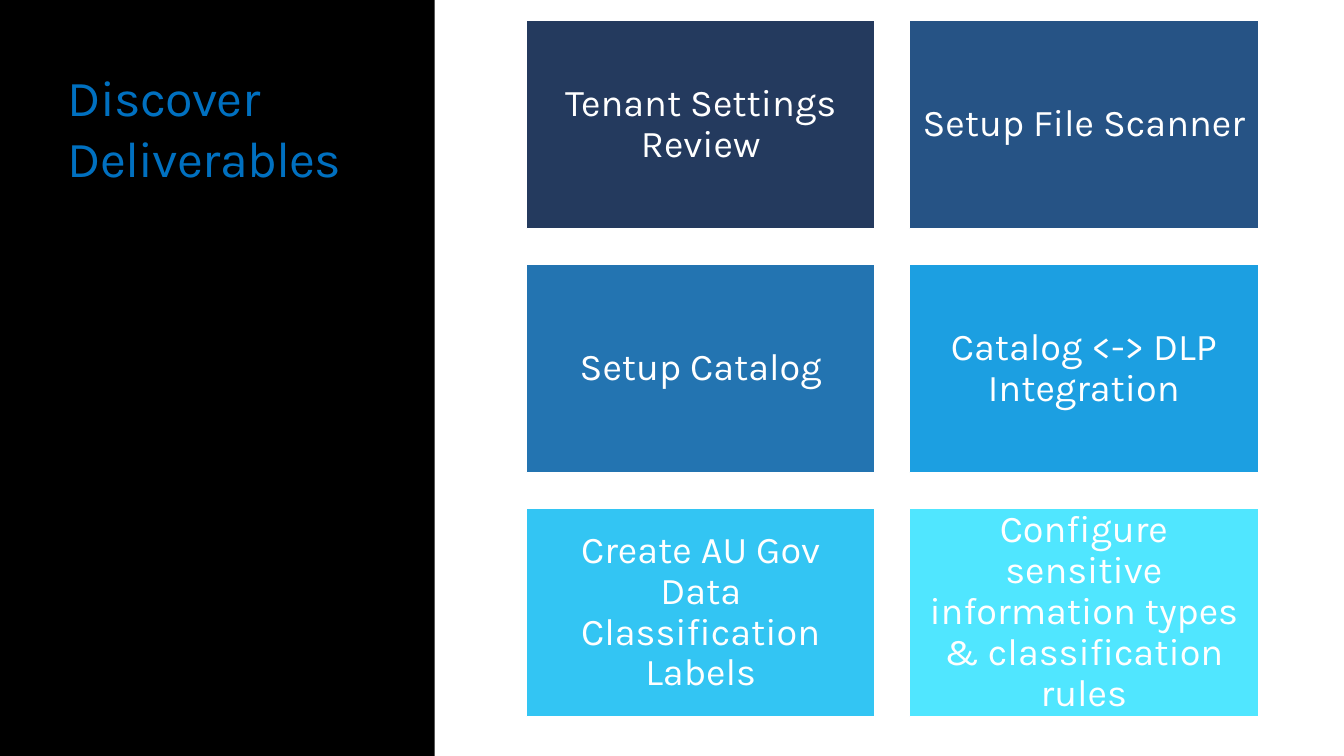
from pptx import Presentation
from pptx.dml.color import RGBColor
from pptx.enum.shapes import MSO_SHAPE
from pptx.enum.text import MSO_ANCHOR, PP_ALIGN
from pptx.util import Inches, Pt

FONT = "Karla"
COLOURS = {"panel": "000000", "title": "0070C0", "white": "FFFFFF"}
DELIVERABLES = [
    ("Tenant Settings Review", "243A5E"),
    ("Setup File Scanner", "265385"),
    ("Setup Catalog", "2374B1"),
    ("Catalog <-> DLP Integration", "1C9FE1"),
    ("Create AU Gov Data Classification Labels", "33C5F3"),
    ("Configure sensitive information types & classification rules", "50E6FF"),
]
COLUMNS = 2
TILE_WIDTH, TILE_HEIGHT = 3.46, 2.07
COLUMN_STEP, ROW_STEP = 3.8, 2.42


def add_block(page, left, top, width, height, colour):
    block = page.shapes.add_shape(
        MSO_SHAPE.RECTANGLE, Inches(left), Inches(top), Inches(width), Inches(height))
    block.shadow.inherit = False
    block.fill.solid()
    block.fill.fore_color.rgb = RGBColor.from_string(colour)
    block.line.fill.background()
    return block


def write_text(shape, text, size, colour, margin):
    """Fill the shape with one wrapped paragraph and return that paragraph."""
    frame = shape.text_frame
    frame.word_wrap = True
    frame.margin_left = frame.margin_right = Inches(margin)
    frame.margin_top = frame.margin_bottom = Inches(margin)
    para = frame.paragraphs[0]
    para.text = text
    para.font.name = FONT
    para.font.size = Pt(size)
    para.font.color.rgb = RGBColor.from_string(colour)
    return para


def add_title_panel(page, left, top, width, height):
    add_block(page, left, top, width, height, COLOURS["panel"])
    box = page.shapes.add_textbox(
        Inches(left + 0.67), Inches(top + 0.66), Inches(2.99), Inches(3.41))
    para = write_text(box, "Discover Deliverables", 36, COLOURS["title"], 0)
    for span in para.runs:
        span.font._element.set("spc", "-50")


def add_tile(page, left, top, text, colour):
    tile = add_block(page, left, top, TILE_WIDTH, TILE_HEIGHT, colour)
    tile.line.color.rgb = RGBColor.from_string(COLOURS["white"])
    tile.line.width = Pt(0.85)
    tile.text_frame.vertical_anchor = MSO_ANCHOR.MIDDLE
    para = write_text(tile, text, 27, COLOURS["white"], 0.11)
    para.alignment = PP_ALIGN.CENTER
    para.line_spacing = 0.9


def add_deliverables(page, left, top):
    for index, (text, colour) in enumerate(DELIVERABLES):
        row, column = divmod(index, COLUMNS)
        add_tile(page, left + column * COLUMN_STEP, top + row * ROW_STEP, text, colour)


def main():
    deck = Presentation()
    deck.slide_width, deck.slide_height = Inches(13.33), Inches(7.5)
    page = deck.slides.add_slide(deck.slide_layouts[6])
    add_title_panel(page, 0, 0, 4.31, 7.5)
    add_deliverables(page, 5.22, 0.2)
    deck.save("out.pptx")


if __name__ == "__main__":
    main()
